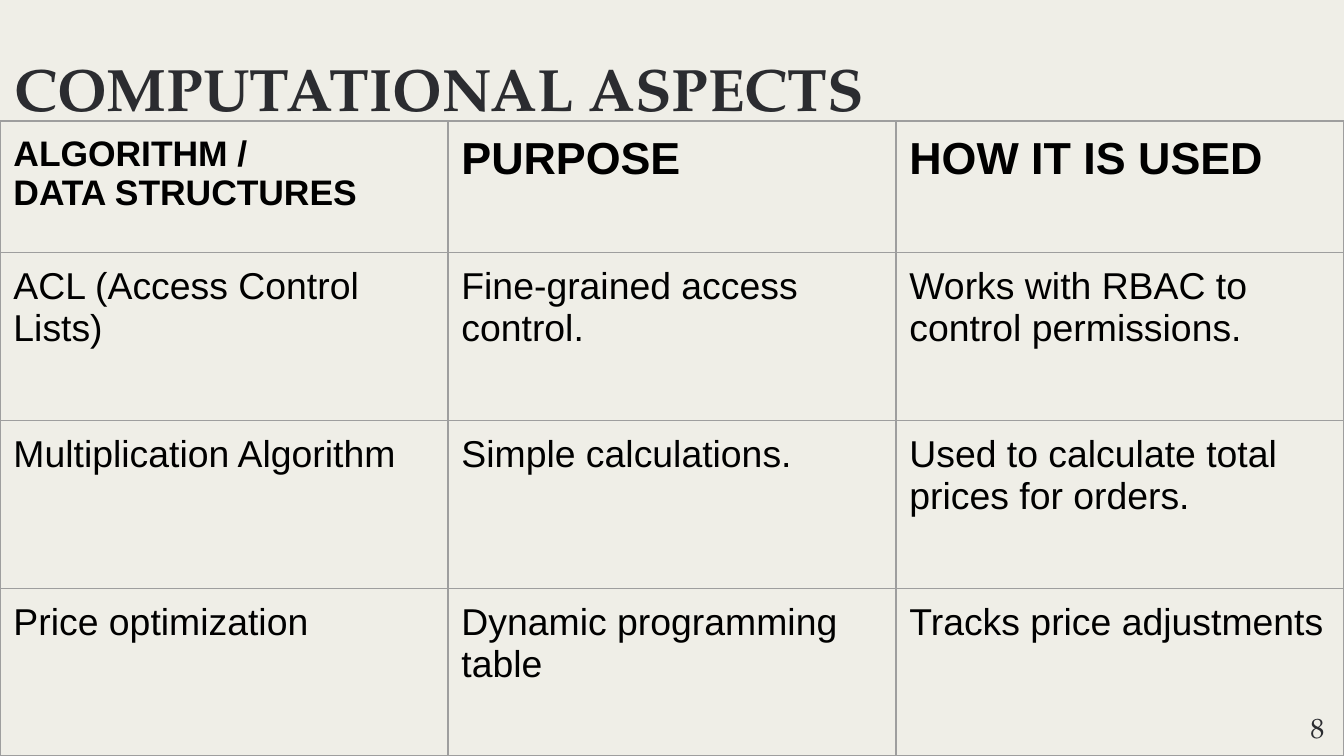
from lxml import etree
from pptx import Presentation, util as u
from pptx.dml.color import RGBColor
from pptx.oxml import ns

# Content: each cell is a list of lines
title = "COMPUTATIONAL ASPECTS"
number = "8"
heads = [
    (["ALGORITHM /", "DATA STRUCTURES"], 19),
    (["PURPOSE"], 24),
    (["HOW IT IS USED"], 24),
]
body = [
    ["ACL (Access Control Lists)", "Fine-grained access control.",
     "Works with RBAC to control permissions."],
    ["Multiplication Algorithm", "Simple calculations.",
     "Used to calculate total prices for orders."],
    ["Price optimization", "Dynamic programming table",
     "Tracks price adjustments"],
]

theme = {
    "back": "EFEEE7", "ink": "2B2C30", "text": "000000", "line": "9E9E9E",
    "serif": "TeX Gyre Pagella", "sans": "Arial",
    "title": 32, "body": 20, "number": 15, "rule": 0.75,
}
wide = 10
high = wide * 9 / 16
top, head_high = 0.9, 0.98
row_high = (high - top - head_high) / len(body)
pad = 0.1


def add_run(para, words, size, font, color, bold=False):
    run = para.add_run()
    run.text = words
    run.font.size = u.Pt(size)
    run.font.name = font
    run.font.bold = bold
    run.font.color.rgb = RGBColor.from_string(color)


def set_pad(frame, gap):
    frame.margin_left = frame.margin_right = u.Inches(gap)
    frame.margin_top = frame.margin_bottom = u.Inches(gap)


def add_label(slide, place, words, size, space, bold=False, left=0):
    box = slide.shapes.add_textbox(*map(u.Inches, place))
    frame = box.text_frame
    frame.word_wrap = True
    set_pad(frame, 0)
    frame.margin_left = u.Inches(left)
    para = frame.paragraphs[0]
    para.line_spacing = space
    add_run(para, words, size, theme["serif"], theme["ink"], bold)


def add_edges(cell):
    props = cell._tc.get_or_add_tcPr()
    for spot, side in enumerate(("lnL", "lnR", "lnT", "lnB")):
        edge = etree.Element(ns.qn("a:" + side), w=str(u.Pt(theme["rule"])))
        fill = etree.SubElement(edge, ns.qn("a:solidFill"))
        etree.SubElement(fill, ns.qn("a:srgbClr"), val=theme["line"])
        props.insert(spot, edge)


def fill_cell(cell, lines, size, bold):
    set_pad(cell, pad)
    cell.fill.background()
    add_edges(cell)
    frame = cell.text_frame
    for i, line in enumerate(lines):
        para = frame.add_paragraph() if i else frame.paragraphs[0]
        add_run(para, line, size, theme["sans"], theme["text"], bold)


def add_grid(slide):
    rows = [[(lines, size, True) for lines, size in heads]]
    rows += [[([words], theme["body"], False) for words in row] for row in body]
    grid = slide.shapes.add_table(
        len(rows), len(heads), 0, u.Inches(top), u.Inches(wide),
        u.Inches(high - top)
    ).table
    grid.first_row = grid.horz_banding = False
    for r, row in enumerate(rows):
        grid.rows[r].height = u.Inches(row_high if r else head_high)
        for c, item in enumerate(row):
            fill_cell(grid.cell(r, c), *item)


def main():
    deck = Presentation()
    deck.slide_width, deck.slide_height = u.Inches(wide), u.Inches(high)
    slide = deck.slides.add_slide(deck.slide_layouts[6])
    back = slide.background.fill
    back.solid()
    back.fore_color.rgb = RGBColor.from_string(theme["back"])

    # Page number, table, title
    add_label(slide, (9.6, 5.31, 0.31, 0.23), number, theme["number"], 0.91,
              left=0.15)
    add_grid(slide)
    add_label(slide, (0.11, 0.17, 8.88, 0.54), title, theme["title"], 1.4,
              bold=True)
    deck.save("out.pptx")


if __name__ == "__main__":
    main()
